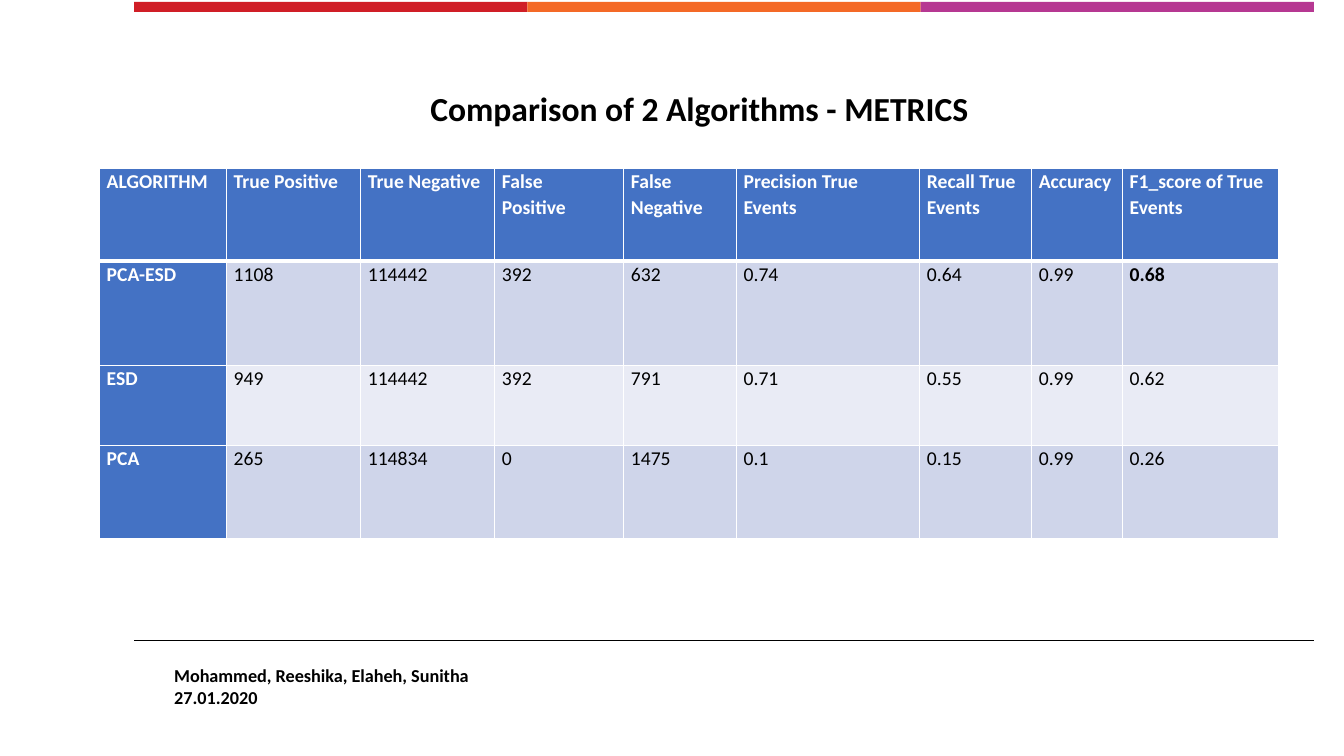
import pptx
import pptx.util
import pptx.dml.color
import pptx.enum.shapes
import pptx.enum.text
import pptx.oxml
import pptx.oxml.ns

Cm = pptx.util.Cm
Pt = pptx.util.Pt

TITLE = "Comparison of 2 Algorithms - METRICS"
HEAD = ["ALGORITHM", "True Positive", "True Negative", "False\nPositive",
        "False Negative", "Precision True Events", "Recall True Events",
        "Accuracy", "F1_score of True Events"]
ROWS = [
    ["PCA-ESD", "1108", "114442", "392", "632", "0.74", "0.64", "0.99", "0.68"],
    ["ESD", "949", "114442", "392", "791", "0.71", "0.55", "0.99", "0.62"],
    ["PCA", "265", "114834", "0", "1475", "0.1", "0.15", "0.99", "0.26"],
]
BEST = (1, 8)
WIDTHS = [3.2, 3.38, 3.38, 3.25, 2.84, 4.62, 2.82, 2.29, 3.94]
HEIGHTS = [2.34, 2.62, 2.03, 2.34]
FOOTER = ["Mohammed, Reeshika, Elaheh, Sunitha", "27.01.2020"]
BARS = ["D01E26", "F46926", "B63892"]
BLUE, BANDS = "4472C4", ["E9EBF5", "CFD5EA"]
LEFT, BAR = 3.38, 9.91


def color(code):
    return pptx.dml.color.RGBColor.from_string(code)


def write(frame, lines, size, bold=True, ink="000000", space=None):
    for i, line in enumerate(lines):
        para = frame.paragraphs[0] if i == 0 else frame.add_paragraph()
        para.alignment = pptx.enum.text.PP_ALIGN.LEFT
        para.line_spacing = space
        run = para.add_run()
        run.text = line
        font = run.font
        font.name, font.size, font.bold = "Calibri", Pt(size), bold
        font.color.rgb = color(ink)


def border(cell, side, width):
    props = cell._tc.get_or_add_tcPr()
    props.append(pptx.oxml.parse_xml(
        f'<a:ln{side} {pptx.oxml.ns.nsdecls("a")} w="{Pt(width)}">'
        '<a:solidFill><a:srgbClr val="FFFFFF"/></a:solidFill>'
        f'</a:ln{side}>'))


def fill_cell(cell, row, col, text):
    label = row == 0 or col == 0
    cell.margin_left = cell.margin_right = Cm(0.18)
    cell.margin_top = cell.margin_bottom = 0
    write(cell.text_frame, text.split("\n"), 14, label or (row, col) == BEST,
          "FFFFFF" if label else "000000", 1.07)
    for side in "LRTB":
        thick = (row, side) in [(0, "B"), (1, "T")]
        border(cell, side, 3 if thick else 1)
    cell.fill.solid()
    cell.fill.fore_color.rgb = color(BLUE if label else BANDS[row % 2])


def add_bars(slide):
    for i, code in enumerate(BARS):
        bar = slide.shapes.add_shape(
            pptx.enum.shapes.MSO_SHAPE.RECTANGLE,
            Cm(LEFT + i * BAR), Cm(0.05), Cm(BAR), Cm(0.25))
        bar.shadow.inherit = False
        bar.fill.solid()
        bar.fill.fore_color.rgb = color(code)
        bar.line.fill.background()


def add_rule(slide):
    rule = slide.shapes.add_connector(
        pptx.enum.shapes.MSO_CONNECTOR.STRAIGHT,
        Cm(LEFT + 3 * BAR), Cm(16.13), Cm(LEFT), Cm(16.13))
    rule.line.color.rgb = color("000000")
    rule.line.width = Pt(0.25)
    rule._element.spPr.append(pptx.oxml.parse_xml(
        f'<a:effectLst {pptx.oxml.ns.nsdecls("a")}/>'))


def add_title(slide):
    title = slide.shapes.title
    title.left, title.top = Cm(10.59), Cm(2.08)
    title.width, title.height = Cm(15.75), Cm(1.27)
    frame = title.text_frame
    frame.word_wrap = True
    frame.auto_size = pptx.enum.text.MSO_AUTO_SIZE.SHAPE_TO_FIT_TEXT
    frame.vertical_anchor = pptx.enum.text.MSO_ANCHOR.TOP
    write(frame, [TITLE], 24)


def add_metrics(slide):
    data = [HEAD] + ROWS
    table = slide.shapes.add_table(
        len(data), len(HEAD), Cm(2.51), Cm(4.24),
        Cm(sum(WIDTHS)), Cm(sum(HEIGHTS))).table
    table.first_col = True
    for col, width in zip(table.columns, WIDTHS):
        col.width = Cm(width)
    for row, height in zip(table.rows, HEIGHTS):
        row.height = Cm(height)
    for r, texts in enumerate(data):
        for c, text in enumerate(texts):
            fill_cell(table.cell(r, c), r, c, text)


def add_footer(slide):
    box = slide.shapes.add_textbox(Cm(4.14), Cm(16.61), Cm(9.14), Cm(1.37))
    frame = box.text_frame
    frame.word_wrap = True
    frame.auto_size = pptx.enum.text.MSO_AUTO_SIZE.SHAPE_TO_FIT_TEXT
    write(frame, FOOTER, 13)


def main():
    deck = pptx.Presentation()
    deck.slide_width, deck.slide_height = Cm(33.87), Cm(19.05)
    slide = deck.slides.add_slide(deck.slide_layouts[5])
    add_rule(slide)
    add_bars(slide)
    add_title(slide)
    add_metrics(slide)
    add_footer(slide)
    deck.save("out.pptx")


if __name__ == "__main__":
    main()
